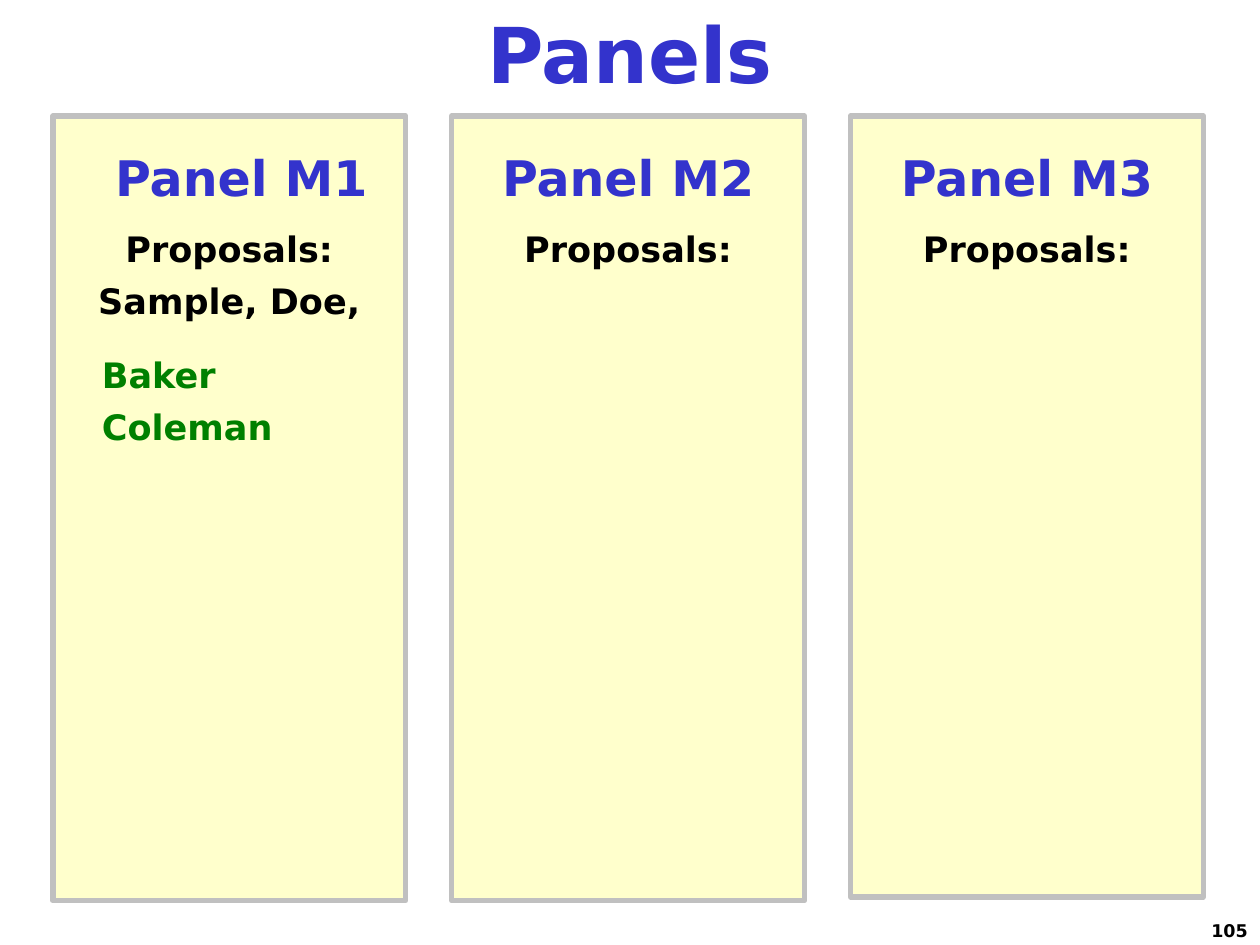
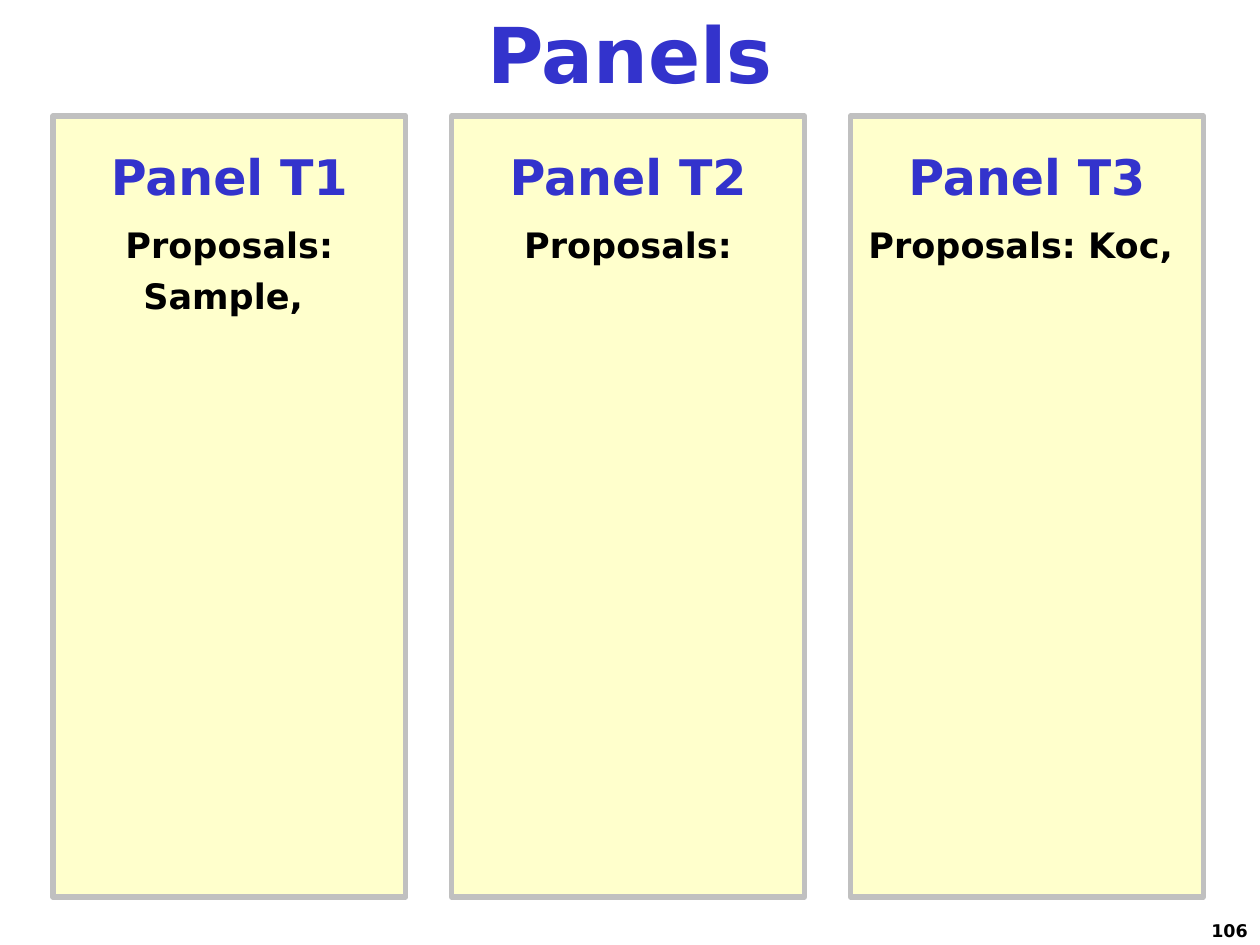
from pptx import Presentation
from pptx.dml.color import RGBColor
from pptx.enum.shapes import MSO_SHAPE as Shape
from pptx.enum.text import MSO_ANCHOR as Anchor, PP_ALIGN as Align
from pptx.util import Inches, Pt

FONT = "DejaVu Sans"
COLORS = {
    "heading": "3333CC",
    "text": "000000",
    "name": "008000",
    "panel": "FFFFCC",
    "border": "C0C0C0",
}
STYLES = {
    "title": {"size": 44, "color": "heading"},
    "heading": {"size": 28, "color": "heading"},
    "proposals": {"size": 20, "color": "text", "space_before": 6},
    "more": {"size": 20, "color": "text"},
    "first_name": {"size": 20, "color": "name", "align": Align.LEFT,
                   "indent": 0.29, "space_before": 12},
    "name": {"size": 20, "color": "name", "align": Align.LEFT, "indent": 0.29},
    "number": {"size": 10, "color": "text", "align": Align.RIGHT},
}
PANEL_LEFT, PANEL_TOP, PANEL_WIDTH, PANEL_PITCH = 0.42, 0.92, 2.8, 3.165
SLIDES = [
    {
        "number": "105", "spacing": 1.25, "inset": 0.25,
        "panels": [
            {"height": 6.23, "heading_indent": 0.19, "lines": [
                ("Panel M1", "heading"), ("Proposals:", "proposals"),
                ("Sample, Doe,", "more"),
                ("Baker", "first_name"), ("Coleman", "name")]},
            {"height": 6.23, "lines": [
                ("Panel M2", "heading"), ("Proposals:", "proposals")]},
            {"height": 6.2, "lines": [
                ("Panel M3", "heading"), ("Proposals:", "proposals")]},
        ],
    },
    {
        "number": "106", "spacing": 1.2, "inset": 0.24,
        "panels": [
            {"height": 6.2, "lines": [
                ("Panel T1", "heading"), ("Proposals: Sample, ", "proposals")]},
            {"height": 6.2, "lines": [
                ("Panel T2", "heading"), ("Proposals:", "proposals")]},
            {"height": 6.2, "lines": [
                ("Panel T3", "heading"), ("Proposals: Koc, ", "proposals")]},
        ],
    },
]


def color(name):
    """Return the named colour."""
    return RGBColor.from_string(COLORS[name])


def write(paragraph, text, style_name, spacing=1.0, indent=0):
    """Write one styled paragraph."""
    style = STYLES[style_name]
    indent = style.get("indent", indent)
    if indent:
        properties = paragraph._p.get_or_add_pPr()
        properties.set("marL", str(Inches(indent)))
        properties.set("indent", "0")
    layout = {
        "alignment": style.get("align", Align.CENTER),
        "line_spacing": spacing,
        "space_before": Pt(style.get("space_before", 0)),
    }
    for name, value in layout.items():
        setattr(paragraph, name, value)
    run = paragraph.add_run()
    run.text = text
    font = {"name": FONT, "size": Pt(style["size"]), "bold": True}
    for name, value in font.items():
        setattr(run.font, name, value)
    run.font.color.rgb = color(style["color"])


def add_label(slide, box, text, style_name):
    """Add a single-line text box."""
    frame = slide.shapes.add_textbox(*map(Inches, box)).text_frame
    frame.word_wrap = True
    write(frame.paragraphs[0], text, style_name)


def add_panel(slide, box, panel, spacing, inset):
    """Add a bordered panel with its heading and proposals."""
    shape = slide.shapes.add_shape(Shape.RECTANGLE, *map(Inches, box))
    shape.shadow.inherit = False
    shape.fill.solid()
    shape.fill.fore_color.rgb = color("panel")
    shape.line.color.rgb = color("border")
    shape.line.width = Pt(3)
    frame = shape.text_frame
    settings = {"word_wrap": True, "vertical_anchor": Anchor.TOP,
                "margin_top": Inches(inset)}
    for name, value in settings.items():
        setattr(frame, name, value)
    for index, (text, style_name) in enumerate(panel["lines"]):
        if index == 0:
            write(frame.paragraphs[0], text, style_name,
                  indent=panel.get("heading_indent", 0))
        else:
            write(frame.add_paragraph(), text, style_name, spacing)


def add_panels_slide(presentation, content):
    """Add a slide with a title, a row of panels and a page number."""
    slide = presentation.slides.add_slide(presentation.slide_layouts[6])
    add_label(slide, (0, 0, 10, 0.84), "Panels", "title")
    for index, panel in enumerate(content["panels"]):
        left = PANEL_LEFT + index * PANEL_PITCH
        box = (left, PANEL_TOP, PANEL_WIDTH, panel["height"])
        add_panel(slide, box, panel, content["spacing"], content["inset"])
    add_label(slide, (7.92, 7.25, 2.08, 0.5), content["number"], "number")


def main():
    """Build and save the presentation."""
    presentation = Presentation()
    presentation.slide_width = Inches(10)
    presentation.slide_height = Inches(7.5)
    for content in SLIDES:
        add_panels_slide(presentation, content)
    presentation.save("out.pptx")


if __name__ == "__main__":
    main()
